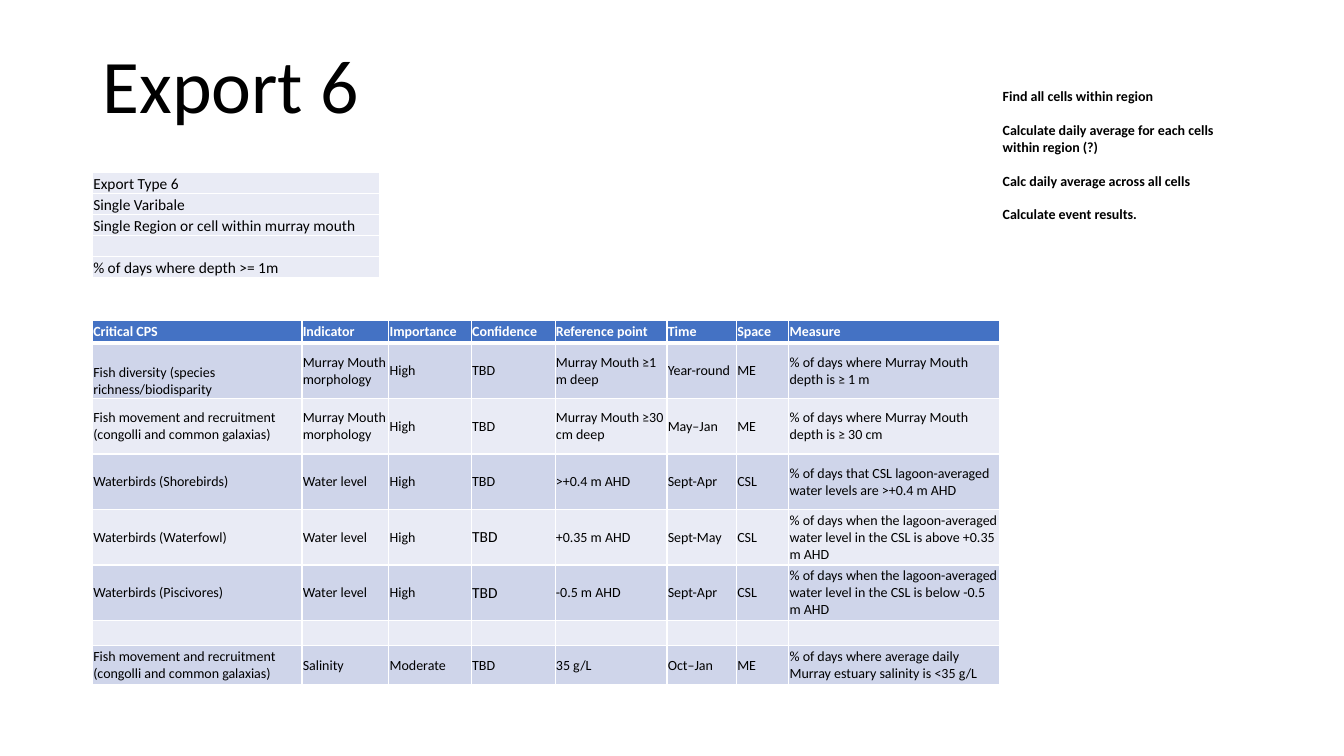
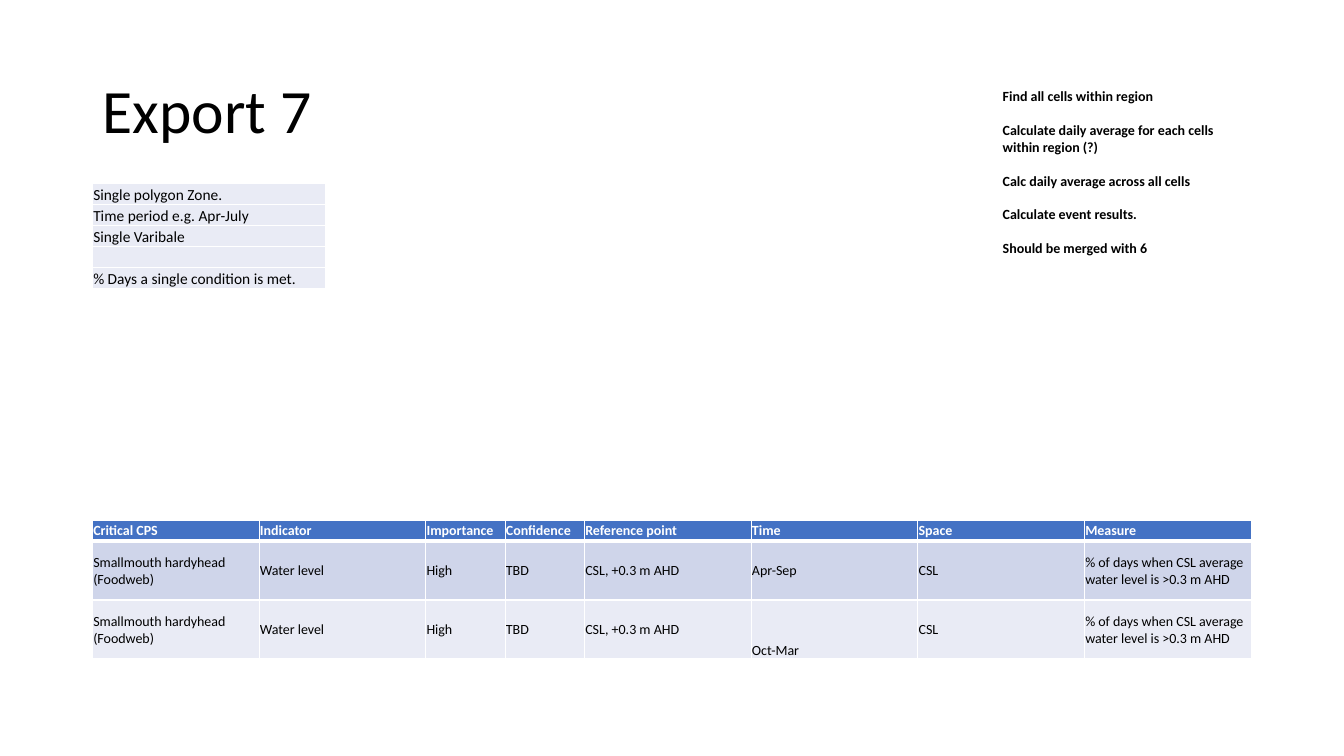
from lxml import etree
from pptx import Presentation
from pptx.dml.color import RGBColor
from pptx.enum.text import MSO_ANCHOR, MSO_AUTO_SIZE, PP_ALIGN
from pptx.oxml.ns import qn
from pptx.util import Cm, Pt

TOP, MID, LOW = MSO_ANCHOR.TOP, MSO_ANCHOR.MIDDLE, MSO_ANCHOR.BOTTOM
FIT, FIXED = MSO_AUTO_SIZE.SHAPE_TO_FIT_TEXT, MSO_AUTO_SIZE.NONE
LEFT = PP_ALIGN.LEFT

BLACK = RGBColor(0, 0, 0)
WHITE = RGBColor(255, 255, 255)
BLUE = RGBColor(0x44, 0x72, 0xC4)
DARK = RGBColor(0xCF, 0xD5, 0xEA)
PALE = RGBColor(0xE9, 0xEB, 0xF5)

FONT = "Calibri"
EDGE, WIDE = 2.33, 29.2
LINE = 0.53  # row height of the summary, in cm
HEAD = ["Critical CPS", "Indicator", "Importance", "Confidence",
        "Reference point", "Time", "Space", "Measure"]
STEPS = ["Find all cells within region",
         "Calculate daily average for each cells within region (?)",
         "Calc daily average across all cells",
         "Calculate event results."]


def write(frame, lines, size=10, color=BLACK, bold=False, gap=0, lead=None):
    """Fill a text frame with one paragraph per line."""
    for i, line in enumerate(lines):
        para = frame.paragraphs[0] if i == 0 else frame.add_paragraph()
        para.alignment = LEFT
        para.line_spacing = lead
        if i < len(lines) - 1:
            para.space_after = Pt(gap)
        if not line:
            etree.SubElement(para._p, qn("a:endParaRPr"), sz=str(size * 100))
            continue
        run = para.add_run()
        run.text = line
        font = run.font
        font.name, font.size, font.bold = FONT, Pt(size), bold
        font.color.rgb = color


def rule(cell, base):
    """Draw white cell borders; the bottom one is base points wide."""
    props = cell._tc.get_or_add_tcPr()
    for side, width in zip("LRTB", (1, 1, 1, base)):
        line = etree.SubElement(props, qn(f"a:ln{side}"), w=str(Pt(width)))
        fill = etree.SubElement(line, qn("a:solidFill"))
        etree.SubElement(fill, qn("a:srgbClr"), val=str(WHITE))


def paint(cell, text, fill, anchor=MID, base=1, **form):
    """Set the borders, fill and text of one cell."""
    rule(cell, base)
    cell.fill.solid()
    cell.fill.fore_color.rgb = fill
    cell.margin_left = cell.margin_right = cell.margin_top = Cm(0.02)
    cell.margin_bottom = 0
    cell.vertical_anchor = anchor
    write(cell.text_frame, [text], **form)


def grid(slide, top, cols, rows):
    """Add an empty table at the left edge, with sizes in cm."""
    table = slide.shapes.add_table(len(rows), len(cols), Cm(EDGE), Cm(top),
                                   Cm(sum(cols)), Cm(sum(rows))).table
    for col, width in zip(table.columns, cols):
        col.width = Cm(width)
    for row, height in zip(table.rows, rows):
        row.height = Cm(height)
    return table


def title(slide, text, top, height, size, anchor):
    """Place and format the title placeholder."""
    shape = slide.shapes.title
    shape.left, shape.top = Cm(EDGE), Cm(top)
    shape.width, shape.height = Cm(WIDE), Cm(height)
    frame = shape.text_frame
    frame.auto_size, frame.vertical_anchor = FIXED, anchor
    write(frame, [text], size=size, lead=0.9)


def detail(slide, top, cols, rows, data, marks):
    """Add the banded table; marks holds the format of odd cells."""
    table = grid(slide, top, cols, rows)
    for c, text in enumerate(HEAD):
        paint(table.cell(0, c), text, BLUE, base=3, color=WHITE, bold=True)
    for r, row in enumerate(data, 1):
        for c, text in enumerate(row):
            paint(table.cell(r, c), text, DARK if r % 2 else PALE,
                  **marks.get((r, c), {}))


def brief(slide, top, width, lines):
    """Add the one-column summary under the title."""
    table = grid(slide, top, [width], [LINE] * len(lines))
    for r, text in enumerate(lines):
        paint(table.cell(r, 0), text, PALE, anchor=LOW, size=11)


def notes(slide, lines, height):
    """Add the list of steps at the top right."""
    box = slide.shapes.add_textbox(Cm(25.02), Cm(2.08), Cm(6.78), Cm(height))
    frame = box.text_frame
    frame.word_wrap = True
    frame.auto_size, frame.vertical_anchor = FIT, TOP
    write(frame, lines, bold=True, gap=12.2)


def six(slide):
    """Build the slide for export 6."""
    title(slide, "Export 6", 0.81, 2.59, 54, LOW)
    fish = "Fish movement and recruitment (congolli and common galaxias)"
    mouth = "Murray Mouth morphology"
    level = "% of days when the lagoon-averaged water level in the CSL is "
    data = [
        ["Fish diversity (species richness/biodisparity", mouth, "High", "TBD",
         "Murray Mouth ≥1 m deep", "Year-round", "ME",
         "% of days where Murray Mouth depth is ≥ 1 m"],
        [fish, mouth, "High", "TBD", "Murray Mouth ≥30 cm deep", "May–Jan",
         "ME", "% of days where Murray Mouth depth is ≥ 30 cm"],
        ["Waterbirds (Shorebirds)", "Water level", "High", "TBD",
         ">+0.4 m AHD", "Sept-Apr", "CSL",
         "% of days that CSL lagoon-averaged water levels are >+0.4 m AHD"],
        ["Waterbirds (Waterfowl)", "Water level", "High", "TBD",
         "+0.35 m AHD", "Sept-May", "CSL", level + "above +0.35 m AHD"],
        ["Waterbirds (Piscivores)", "Water level", "High", "TBD",
         "-0.5 m AHD", "Sept-Apr", "CSL", level + "below -0.5 m AHD"],
        [""] * len(HEAD),
        [fish, "Salinity", "Moderate", "TBD", "35 g/L", "Oct–Jan", "ME",
         "% of days where average daily Murray estuary salinity is <35 g/L"],
    ]
    detail(slide, 8.08, [5.28, 2.19, 2.08, 2.11, 2.82, 1.75, 1.32, 5.31],
           [0.56] + [1.4] * 5 + [0.64, 0.97], data,
           {(1, 0): {"anchor": LOW}, (4, 3): {"size": 11},
            (5, 3): {"size": 11}})
    brief(slide, 4.34, 7.24,
          ["Export Type 6", "Single Varibale",
           "Single Region or cell within murray mouth", "",
           "% of days where depth >= 1m"])
    notes(slide, STEPS, 4.52)


def seven(slide):
    """Build the slide for export 7."""
    title(slide, "Export 7", 1.02, 3.68, 44, MID)
    data = [["Smallmouth hardyhead (Foodweb)", "Water level", "High", "TBD",
             "CSL, +0.3 m AHD", time, "CSL",
             "% of days when CSL average water level is >0.3 m AHD"]
            for time in ("Apr-Sep", "Oct-Mar")]
    detail(slide, 13.11, [4.2] * 2 + [2] * 2 + [4.2] * 4,
           [LINE, 1.48, 1.48], data, {(2, 5): {"anchor": LOW}})
    brief(slide, 4.62, 5.87,
          ["Single polygon Zone.", "Time period e.g. Apr-July",
           "Single Varibale", "", "% Days a single condition is met."])
    notes(slide, STEPS + ["Should be merged with 6"], 4.95)


deck = Presentation()
deck.slide_width, deck.slide_height = Cm(33.87), Cm(19.05)
for build in (six, seven):
    build(deck.slides.add_slide(deck.slide_layouts[5]))
deck.save("out.pptx")
